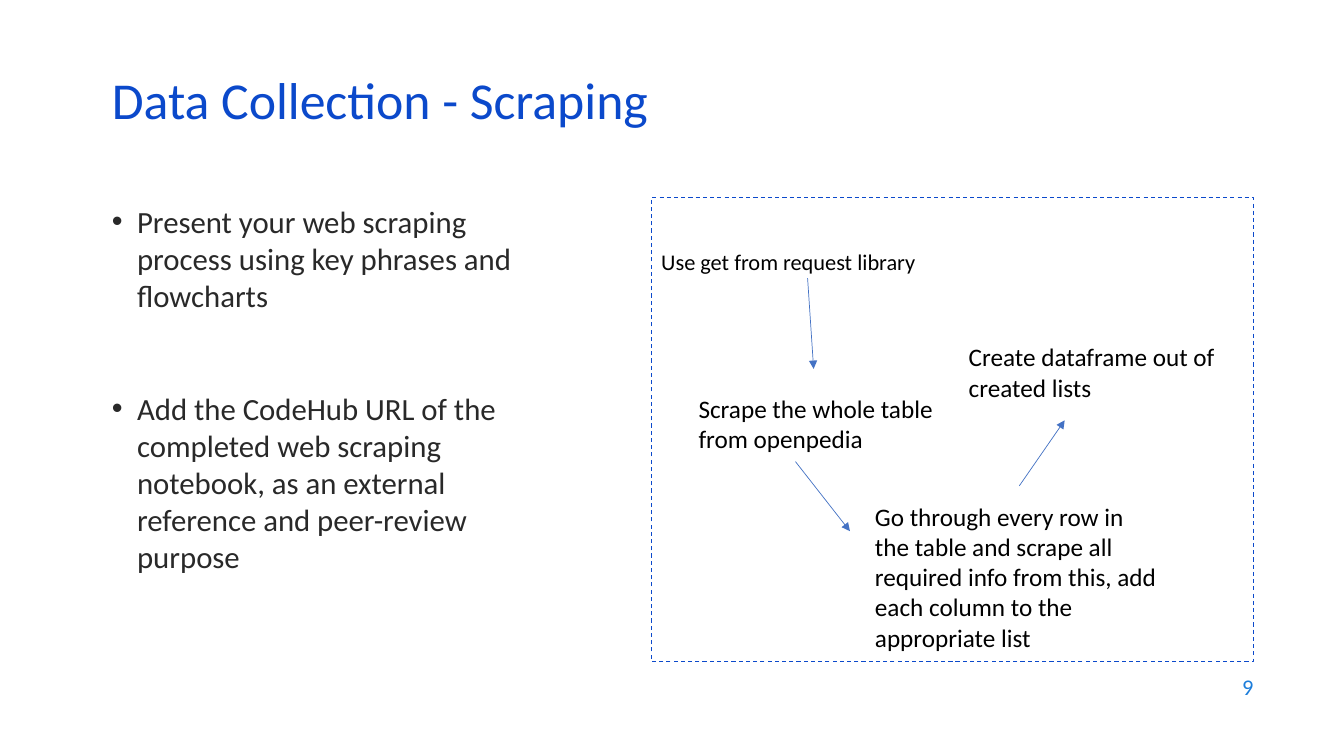
from lxml.etree import SubElement
from pptx import Presentation
from pptx.dml.color import RGBColor
from pptx.enum.dml import MSO_LINE_DASH_STYLE as DASH
from pptx.enum.shapes import MSO_CONNECTOR as CONNECTOR, MSO_SHAPE as SHAPE
from pptx.enum.text import MSO_ANCHOR as ANCHOR, MSO_AUTO_SIZE as AUTO_SIZE, PP_ALIGN as ALIGN
from pptx.oxml.ns import qn
from pptx.util import Inches, Pt

TITLE_BLUE = RGBColor(0x0B, 0x49, 0xCB)
NUMBER_BLUE = RGBColor(0x1C, 0x7D, 0xDB)
ARROW_BLUE = RGBColor(0x44, 0x72, 0xC4)
BODY_GREY = RGBColor(0x29, 0x29, 0x29)
BLACK = RGBColor(0, 0, 0)


class ScrapingSlide:
    font_name = "Calibri"

    def __init__(self, deck):
        self.slide = deck.slides.add_slide(deck.slide_layouts[1])

    def place(self, holder, left, top, width, height):
        bounds = {"left": left, "top": top, "width": width, "height": height}
        for side, length in bounds.items():
            setattr(holder, side, Inches(length))

    def fill_text(self, frame, lines, size, color, anchor=ANCHOR.TOP, bullet=False, **formats):
        frame.word_wrap = True
        frame.auto_size = AUTO_SIZE.NONE
        frame.vertical_anchor = anchor
        frame.text = "\n".join(lines)
        styles = {"alignment": ALIGN.LEFT, "space_before": Pt(0), **formats}
        for line in frame.paragraphs:
            for name, value in styles.items():
                setattr(line, name, value)
            if bullet:
                props = line._p.get_or_add_pPr()
                props.set("marL", str(Inches(0.25)))
                props.set("indent", str(Inches(-0.25)))
                SubElement(props, qn("a:buFont")).set("typeface", "Arial")
                SubElement(props, qn("a:buChar")).set("char", "•")
            for run in line.runs:
                for name, value in {"name": self.font_name, "size": Pt(size)}.items():
                    setattr(run.font, name, value)
                run.font.color.rgb = color

    def title(self, words, bounds):
        heading = self.slide.shapes.title
        self.place(heading, *bounds)
        self.fill_text(heading.text_frame, [words], 37, TITLE_BLUE, ANCHOR.MIDDLE, line_spacing=0.7)

    def bullets(self, items, bounds, gap):
        body = self.slide.placeholders[1]
        self.place(body, *bounds)
        self.fill_text(body.text_frame, items, 22, BODY_GREY, bullet=True)
        for item in body.text_frame.paragraphs[1:]:
            item.space_before = Pt(gap)

    def note(self, words, bounds, size=18, color=BLACK, **formats):
        note = self.slide.shapes.add_textbox(*map(Inches, bounds))
        self.fill_text(note.text_frame, [words], size, color, **formats)

    def dashed_panel(self, words, bounds):
        panel = self.slide.shapes.add_shape(SHAPE.RECTANGLE, *map(Inches, bounds))
        panel.shadow.inherit = False
        panel.fill.background()
        panel.line.color.rgb = TITLE_BLUE
        panel.line.width = Pt(0.75)
        panel.line.dash_style = DASH.DASH
        panel.text_frame.margin_top = Inches(0.53)
        self.fill_text(panel.text_frame, [words], 16, BLACK, line_spacing=0.9)

    def arrow(self, *ends):
        arrow = self.slide.shapes.add_connector(CONNECTOR.STRAIGHT, *map(Inches, ends))
        arrow.line.color.rgb = ARROW_BLUE
        arrow.line.width = Pt(0.5)
        SubElement(arrow.line._get_or_add_ln(), qn("a:tailEnd")).set("type", "triangle")
        SubElement(arrow._element.spPr, qn("a:effectLst"))


def main():
    deck = Presentation()
    deck.slide_width = Inches(13.33)
    deck.slide_height = Inches(7.5)
    page = ScrapingSlide(deck)

    page.note("9", (9.53, 6.59, 3, 0.44), 16, NUMBER_BLUE,
              anchor=ANCHOR.MIDDLE, alignment=ALIGN.RIGHT)
    page.bullets([
        "Present your web scraping process using key phrases and flowcharts",
        "Add the CodeHub URL of the completed web scraping notebook, "
        "as an external reference and peer-review purpose",
    ], (1.01, 1.96, 4.3, 4.17), gap=54.4)
    page.title("Data Collection - Scraping", (1.01, 0.76, 11.5, 0.6))
    page.dashed_panel("Use get from request library", (6.46, 1.96, 5.97, 4.6))

    steps = [
        ("Scrape the whole table from openpedia", (6.83, 3.85, 3, 0.71)),
        ("Go through every row in the table and scrape all required info from this, "
         "add each column to the appropriate list", (8.58, 4.92, 3, 1.62)),
        ("Create dataframe out of created lists", (9.51, 3.34, 3, 0.71)),
    ]
    arrows = [
        (8.01, 2.76, 8.07, 3.66),
        (7.89, 4.58, 8.43, 5.27),
        (10.11, 4.82, 10.56, 4.17),
    ]
    for (words, bounds), ends in zip(steps, arrows):
        page.arrow(*ends)
        page.note(words, bounds)

    deck.save("out.pptx")


if __name__ == "__main__":
    main()
